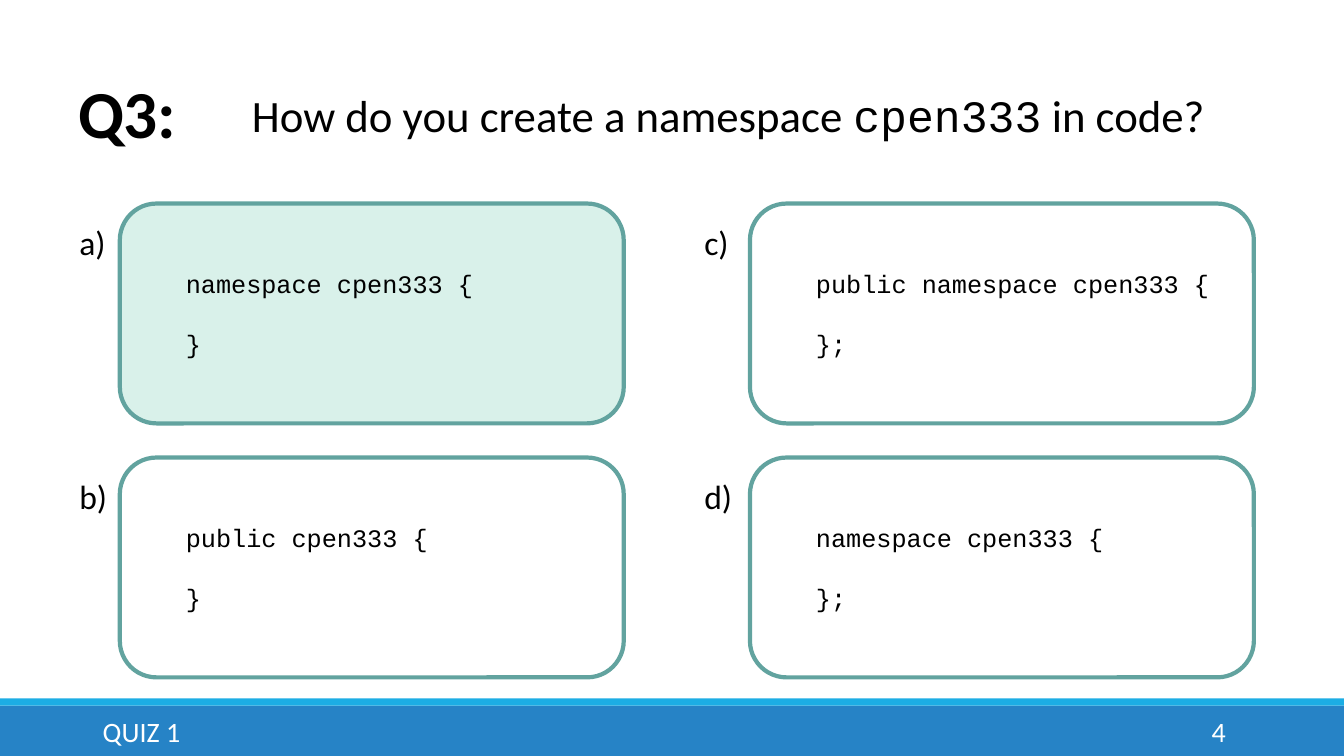
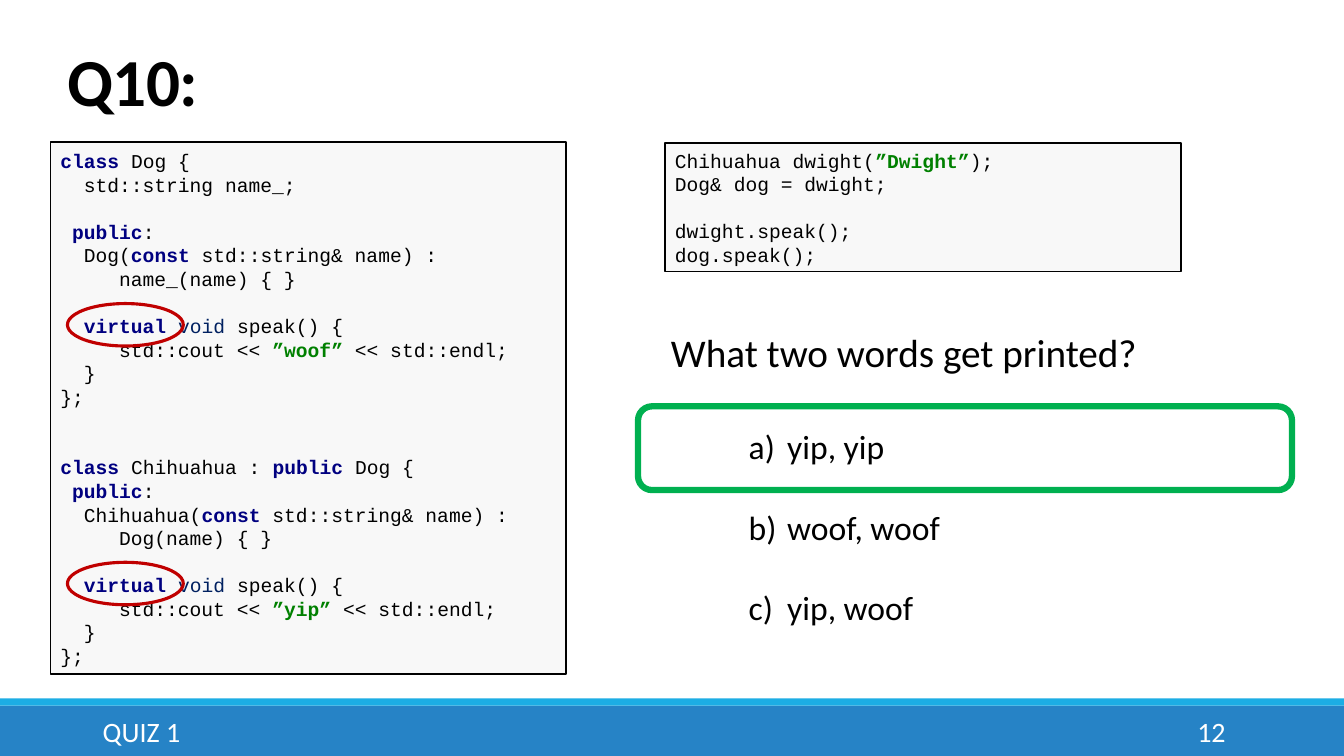
"""Build two quiz slides: a namespace question and a virtual method question."""
from dataclasses import dataclass
from typing import NamedTuple, Optional

from lxml import etree
from pptx import Presentation
from pptx import slide as sl
from pptx import util as u
from pptx.dml import color
from pptx.enum import shapes, text
from pptx.oxml import ns
from pptx.shapes import autoshape as auto
from pptx.text import text as tx


@dataclass(frozen=True)
class Theme:
    sans: str = "Calibri"
    mono: str = "Courier New"
    black: str = "000000"
    white: str = "FFFFFF"
    band: str = "2683C6"
    strip: str = "1CADE4"
    teal: str = "62A39F"
    mint: str = "D9F1EA"
    panel: str = "F8F8F8"
    navy: str = "000080"
    ink: str = "002060"
    leaf: str = "008000"
    green: str = "00B050"
    red: str = "C00000"
    title: int = 48
    ask: int = 32
    prompt: int = 28
    body: int = 24
    foot: int = 20
    reply: int = 18
    code: int = 14
    pitch: float = 1.203


class Box(NamedTuple):
    x: float
    y: float
    w: float
    h: float

    def place(self) -> tuple:
        return tuple(u.Cm(side) for side in self)


class Reply(NamedTuple):
    mark: str
    col: int
    row: int
    code: str
    right: bool = False


T = Theme()
KIND = shapes.MSO_SHAPE
MID = text.MSO_ANCHOR.MIDDLE
WIDE, HIGH = 33.87, 19.05
HUES = {"class": T.navy, "public": T.navy, "const": T.navy,
        "virtual": T.navy, "void": T.ink}

COLS, ROWS = (3.02, 18.9), (5.13, 11.53)
MARKS = (1.75, 17.5)
REPLIES = (
    Reply("a)", 0, 0, "   namespace cpen333 {\n\n   }", True),
    Reply("b)", 0, 1, "   public cpen333 {\n\n   }"),
    Reply("c)", 1, 0, "   public namespace cpen333 {\n\n   };"),
    Reply("d)", 1, 1, "   namespace cpen333 {\n\n   };"),
)

DOGS = """|class| Dog {
  std::string name_;

 |public|:
  Dog(|const| std::string& name) :
     name_(name) { }

  |virtual| |void| speak() {
     std::cout << |”woof”| << std::endl;
  }
};


|class| Chihuahua : |public| Dog {
 |public|:
  Chihuahua(|const| std::string& name) :
     Dog(name) { }

  |virtual| |void| speak() {
     std::cout << |”yip”| << std::endl;
  }
};"""

CALLS = """Chihuahua dwight(|”Dwight”|);
Dog& dog = dwight;

dwight.speak();
dog.speak();"""


def rgb(hue: str) -> color.RGBColor:
    return color.RGBColor.from_string(hue)


def style(run: tx._Run, size: int, hue: str = T.black,
          face: str = T.sans, bold: bool = False) -> None:
    font = run.font
    font.name, font.size, font.bold = face, u.Pt(size), bold
    font.color.rgb = rgb(hue)


def shape(page: sl.Slide, kind: KIND, box: Box, fill: Optional[str] = None,
          line: Optional[str] = None, width: float = 1) -> auto.Shape:
    item = page.shapes.add_shape(kind, *box.place())
    item.shadow.inherit = False
    if fill:
        item.fill.solid()
        item.fill.fore_color.rgb = rgb(fill)
    else:
        item.fill.background()
    if line:
        item.line.color.rgb = rgb(line)
        item.line.width = u.Pt(width)
    else:
        item.line.fill.background()
    return item


def label(page: sl.Slide, box: Box, words: str, size: int, hue: str = T.black,
          bold: bool = False, anchor: text.MSO_ANCHOR = text.MSO_ANCHOR.TOP
          ) -> tx.TextFrame:
    frame = page.shapes.add_textbox(*box.place()).text_frame
    frame.word_wrap = True
    frame.vertical_anchor = anchor
    frame.text = words
    for para in frame.paragraphs:
        for run in para.runs:
            style(run, size, hue, bold=bold)
    return frame


def listing(item: auto.Shape, code: str, size: int) -> None:
    frame = item.text_frame
    frame.word_wrap = True
    frame.vertical_anchor = MID
    pitch = round(size * T.pitch, 2)
    gap, para = 0, None
    for line in code.split("\n"):
        bare = line.strip()
        if not bare:
            gap += 1
            continue
        para = frame.add_paragraph() if para else frame.paragraphs[0]
        para.alignment = text.PP_ALIGN.LEFT
        para.line_spacing = u.Pt(pitch)
        para.space_before = u.Pt(gap * pitch)
        inset = (len(line) - len(line.lstrip())) * size * 0.6
        para._p.get_or_add_pPr().set("marL", str(int(u.Pt(inset))))
        gap = 0
        for part in filter(None, bare.split("|")):
            run = para.add_run()
            run.text = part
            quote = part.startswith("”")
            hue = T.leaf if quote else HUES.get(part, T.black)
            style(run, size, hue, T.mono, hue in (T.navy, T.leaf))


def number(para: tx._Paragraph, indent: float) -> None:
    props = para._p.get_or_add_pPr()
    props.set("marL", str(int(u.Cm(indent))))
    props.set("indent", str(-int(u.Cm(indent))))
    etree.SubElement(props, ns.qn("a:buFont")).set("typeface", "+mj-lt")
    etree.SubElement(props, ns.qn("a:buAutoNum")).set("type", "alphaLcParenR")


def base(deck: Presentation, title: str, x: float, y: float,
         count: str) -> sl.Slide:
    page = deck.slides.add_slide(deck.slide_layouts[6])
    shape(page, KIND.RECTANGLE, Box(0, 17.78, WIDE, 1.27), T.band)
    shape(page, KIND.RECTANGLE, Box(0, 17.6, WIDE, 0.18), T.strip)
    head = label(page, Box(x, y, 27.94, 2.16), title, T.title, bold=True,
                 anchor=text.MSO_ANCHOR.BOTTOM).paragraphs[0]
    head.line_spacing = 0.85
    head.runs[0]._r.get_or_add_rPr().set("spc", "-50")
    label(page, Box(2.34, 17.93, 21.31, 1.02), "QUIZ 1", T.foot, T.white,
          anchor=MID)
    foot = label(page, Box(27.51, 17.93, 3.63, 1.02), count, T.foot, T.white,
                 anchor=MID)
    foot.paragraphs[0].alignment = text.PP_ALIGN.RIGHT
    return page


def spaces(deck: Presentation) -> None:
    page = base(deck, "Q3:", 1.73, 1.8, "4")
    ask = label(page, Box(6.1, 2.08, 24.77, 1.63),
                "How do you create a namespace ", T.ask).paragraphs[0]
    for words, face in (("cpen333", T.mono), (" in code?", T.sans)):
        run = ask.add_run()
        run.text = words
        style(run, T.ask, face=face)
    for item in REPLIES:
        top = ROWS[item.row]
        card = shape(page, KIND.ROUNDED_RECTANGLE,
                     Box(COLS[item.col], top, 12.7, 5.54),
                     T.mint if item.right else T.white, T.teal, 3)
        listing(card, item.code, T.reply)
        label(page, Box(MARKS[item.col], top + 0.33, 1.22, 1.27),
              item.mark, T.body)


def dogs(deck: Presentation) -> None:
    page = base(deck, "Q10:", 1.45, 0.99, "12")
    for box, code in ((Box(1.27, 3.58, 13, 13.41), DOGS),
                      (Box(16.76, 3.6, 13, 3.25), CALLS)):
        panel = shape(page, KIND.RECTANGLE, box, T.panel, T.black)
        listing(panel, code, T.code)
    picks = label(page, Box(18.62, 10.62, 6.91, 5.38),
                  "yip, yip\nwoof, woof\nyip, woof", T.body)
    for rank, para in enumerate(picks.paragraphs):
        para.space_before = u.Pt(28.6 if rank else 0)
        number(para, 0.97)
    label(page, Box(16.66, 8.15, 12.37, 1.45), "What two words get printed?",
          T.prompt)
    shape(page, KIND.ROUNDED_RECTANGLE, Box(16.08, 10.24, 16.48, 2.11),
          line=T.green, width=4.5)
    for top in (7.65, 14.17):
        shape(page, KIND.OVAL, Box(1.7, top, 2.92, 1.07),
              line=T.red, width=2.25)


def main() -> None:
    deck = Presentation()
    deck.slide_width, deck.slide_height = u.Cm(WIDE), u.Cm(HIGH)
    spaces(deck)
    dogs(deck)
    deck.save("out.pptx")


if __name__ == "__main__":
    main()
